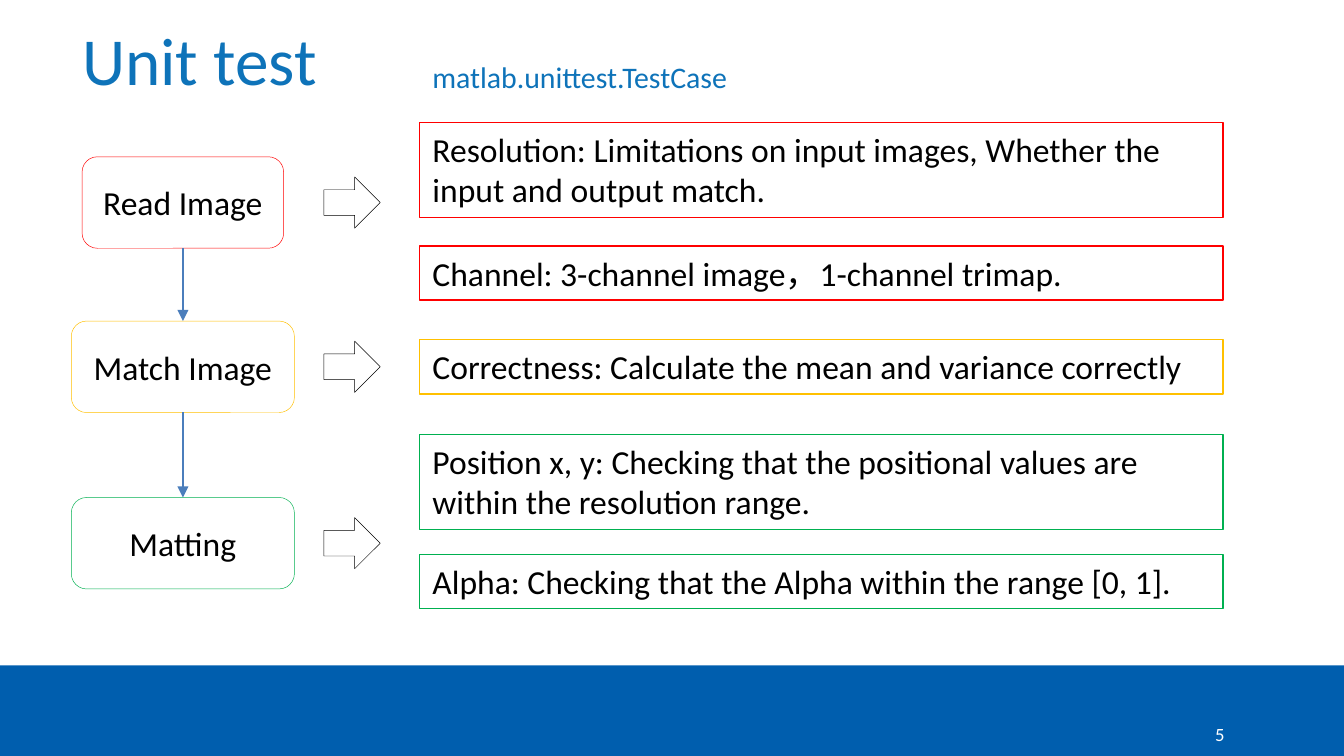
from dataclasses import dataclass

from lxml.etree import SubElement
from pptx import Presentation
from pptx.dml.color import RGBColor
from pptx.enum.shapes import MSO_CONNECTOR as Connector, MSO_SHAPE as Shape
from pptx.enum.text import MSO_ANCHOR as Anchor, MSO_AUTO_SIZE as AutoSize, PP_ALIGN as Align
from pptx.oxml.ns import qn
from pptx.util import Pt


@dataclass(frozen=True)
class Theme:
    font: str = "Calibri"
    heading: str = "0E73B9"
    band: str = "005EAE"
    ink: str = "000000"
    paper: str = "FFFFFF"
    flow: str = "4B7EBC"
    read: str = "FF0000"
    match: str = "FFC000"
    matting: str = "00B050"
    title_size: float = 36
    subtitle_size: float = 16
    body_size: float = 18
    number_size: float = 10
    hairline: float = 0.25
    thin: float = 0.75


THEME = Theme()
STEP_CENTER, STEP_HEIGHT = 98, 49
ARROW_CENTER, ARROW_WIDTH, ARROW_HEIGHT = 188.6, 27.4, 30.2
CHECK_LEFT, CHECK_WIDTH = 224.6, 430.6
ONE_LINE, TWO_LINES = 29, 51

# Step name, colour, top, width
STEPS = [
    ("Read Image", THEME.read, 84, 108),
    ("Match Image", THEME.match, 172, 119.5),
    ("Matting", THEME.matting, 266.5, 119.5),
]

# Check text, colour, top, height
CHECKS = [
    ("Resolution: Limitations on input images, Whether the input and output match.",
     THEME.read, 65.5, TWO_LINES),
    ("Channel: 3-channel image，1-channel trimap.", THEME.read, 131.7, ONE_LINE),
    ("Correctness: Calculate the mean and variance correctly", THEME.match, 182, ONE_LINE),
    ("Position x, y: Checking that the positional values are within the resolution range.",
     THEME.matting, 232.7, TWO_LINES),
    ("Alpha: Checking that the Alpha within the range [0, 1].", THEME.matting, 297, ONE_LINE),
]


def rgb(color):
    return RGBColor.from_string(color)


def write(frame, text, *, size=THEME.body_size, color=THEME.ink, align=Align.LEFT,
          anchor=Anchor.TOP, margins=True):
    frame.word_wrap = True
    frame.auto_size = AutoSize.NONE
    frame.vertical_anchor = anchor
    if not margins:
        frame.margin_left = frame.margin_right = frame.margin_top = frame.margin_bottom = 0
    paragraph = frame.paragraphs[0]
    paragraph.alignment = align
    run = paragraph.add_run()
    run.text = text
    run.font.name = THEME.font
    run.font.size = Pt(size)
    run.font.color.rgb = rgb(color)


class SlideBuilder:
    def __init__(self, slide, theme):
        self.slide = slide
        self.theme = theme

    def title(self, text, left, top, width, height):
        title = self.slide.shapes.title
        title.left, title.top, title.width, title.height = map(Pt, (left, top, width, height))
        write(title.text_frame, text, size=self.theme.title_size, color=self.theme.heading,
              anchor=Anchor.BOTTOM, margins=False)

    def label(self, text, left, top, width, height, **text_format):
        box = self.slide.shapes.add_textbox(*map(Pt, (left, top, width, height)))
        write(box.text_frame, text, **text_format)

    def shape(self, kind, left, top, width, height, *, fill=None, line=None, weight=0.75):
        shape = self.slide.shapes.add_shape(kind, *map(Pt, (left, top, width, height)))
        shape.shadow.inherit = False
        if fill:
            shape.fill.solid()
            shape.fill.fore_color.rgb = rgb(fill)
        else:
            shape.fill.background()
        if line:
            shape.line.color.rgb = rgb(line)
            shape.line.width = Pt(weight)
        else:
            shape.line.fill.background()
        return shape

    def step(self, name, color, top, width):
        step = self.shape(Shape.ROUNDED_RECTANGLE, STEP_CENTER - width / 2, top, width,
                          STEP_HEIGHT, fill=self.theme.paper, line=color,
                          weight=self.theme.hairline)
        write(step.text_frame, name, align=Align.CENTER, anchor=Anchor.MIDDLE)
        return step

    def check(self, text, color, top, height):
        check = self.shape(Shape.RECTANGLE, CHECK_LEFT, top, CHECK_WIDTH, height,
                           line=color, weight=self.theme.thin)
        write(check.text_frame, text)

    def block_arrow(self, middle):
        """Point right from a step to its checks, centred on the given height."""
        arrow = self.shape(Shape.DOWN_ARROW, ARROW_CENTER - ARROW_WIDTH / 2,
                           middle - ARROW_HEIGHT / 2, ARROW_WIDTH, ARROW_HEIGHT,
                           line=self.theme.ink, weight=self.theme.hairline)
        arrow.rotation = 270

    def flow(self, upper, lower):
        """Join the bottom of one step to the top of the next with an arrow."""
        flow = self.slide.shapes.add_connector(Connector.STRAIGHT, 0, 0, 0, 0)
        flow.begin_connect(upper, 2)
        flow.end_connect(lower, 0)
        flow.line.color.rgb = rgb(self.theme.flow)
        flow.line.width = Pt(self.theme.thin)
        SubElement(flow.line._get_or_add_ln(), qn("a:tailEnd"), type="triangle")
        SubElement(flow._element.spPr, qn("a:effectLst"))


def main():
    deck = Presentation()
    deck.slide_width, deck.slide_height = Pt(720), Pt(405)
    title_only = deck.slide_layouts[5]
    page = SlideBuilder(deck.slides.add_slide(title_only), THEME)

    page.shape(Shape.RECTANGLE, 0, 356.4, 720, 48.6, fill=THEME.band)
    page.title("Unit test", 44, 20.2, 590.4, 33)
    page.label("matlab.unittest.TestCase", CHECK_LEFT, 28, 360, 26.6,
               size=THEME.subtitle_size, color=THEME.heading)
    page.label("5", 633, 384.5, 23, 15, size=THEME.number_size, color=THEME.paper,
               align=Align.RIGHT, anchor=Anchor.BOTTOM, margins=False)

    steps = [page.step(*step) for step in STEPS]
    for upper, lower in zip(steps, steps[1:]):
        page.flow(upper, lower)
    for _, _, top, _ in STEPS:
        page.block_arrow(top + STEP_HEIGHT / 2)
    for check in CHECKS:
        page.check(*check)

    deck.save("out.pptx")


if __name__ == "__main__":
    main()
